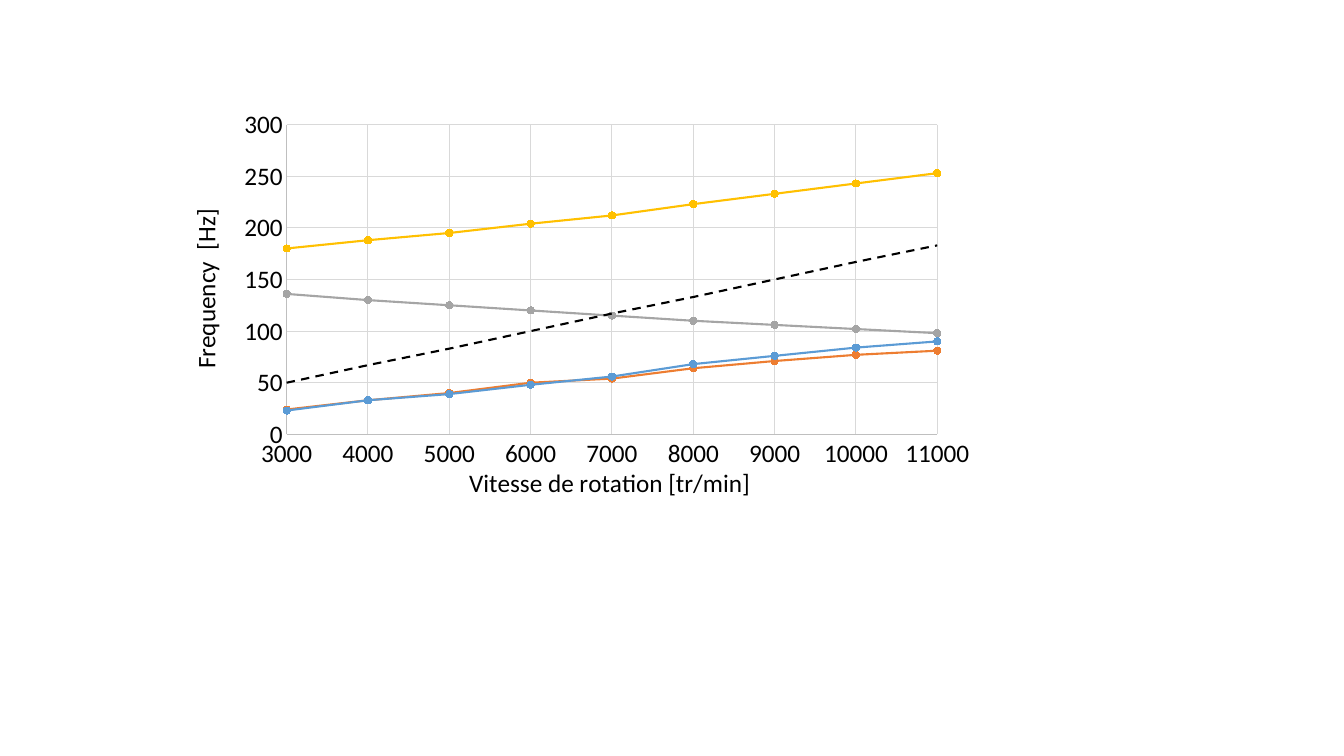
from pptx import Presentation
from pptx.chart.data import XyChartData
from pptx.dml.color import RGBColor
from pptx.enum.chart import XL_CHART_TYPE, XL_MARKER_STYLE, XL_TICK_MARK
from pptx.enum.dml import MSO_LINE
from pptx.oxml import parse_xml
from pptx.oxml.ns import nsdecls
from pptx.util import Inches, Pt

COLORS = {
    "text": "000000", "axis": "BFBFBF", "grid": "D9D9D9", "excitation": "000000",
    "blue": "5B9BD5", "orange": "ED7D31", "gray": "A5A5A5", "yellow": "FFC000",
}
SPEEDS = range(3000, 11001, 1000)
# Color key and frequencies in Hz; the excitation line is speed / 60
MODES = [
    ("excitation", [round(speed / 60) for speed in SPEEDS]),
    ("blue", [23, 33, 39, 48, 56, 68, 76, 84, 90]),
    ("orange", [24, 33, 40, 50, 54, 64, 71, 77, 81]),
    ("gray", [136, 130, 125, 120, 115, 110, 106, 102, 98]),
    ("yellow", [180, 188, 195, 204, 212, 223, 233, 243, 253]),
]


class SlideBuilder:
    def __init__(self, slide, font="Calibri", size=18):
        self.slide, self.font, self.size = slide, font, size

    def color(self, key):
        return RGBColor.from_string(COLORS[key])

    def style_font(self, font):
        font.name, font.size, font.bold = self.font, Pt(self.size), False
        font.color.rgb = self.color("text")

    def style_line(self, line, key, width):
        line.color.rgb = self.color(key)
        line.width = Pt(width)

    def scatter(self, left, top, width, height, speeds, modes):
        data = XyChartData(number_format="General")
        for number, (_, frequencies) in enumerate(modes, 1):
            series = data.add_series(f"Series {number}")
            for speed, frequency in zip(speeds, frequencies):
                series.add_data_point(speed, frequency)
        chart = self.slide.shapes.add_chart(
            XL_CHART_TYPE.XY_SCATTER_SMOOTH_NO_MARKERS, Inches(left), Inches(top),
            Inches(width), Inches(height), data).chart
        chart.has_legend = chart.has_title = False
        self.style_font(chart.font)
        chart.plots[0].vary_by_categories = False
        for series, (key, _) in zip(chart.plots[0].series, modes):
            self.curve(series, key)
        return chart

    def curve(self, series, key):
        series.smooth = True
        self.style_line(series.format.line, key, 1.5)
        if key == "excitation":
            series.format.line.dash_style = MSO_LINE.DASH
            series.marker.style = XL_MARKER_STYLE.NONE
            return
        series.marker.style = XL_MARKER_STYLE.CIRCLE
        series.marker.size = 5
        series.marker.format.fill.solid()
        series.marker.format.fill.fore_color.rgb = self.color(key)
        self.style_line(series.marker.format.line, key, 0.75)

    def axis(self, axis, title, low, high, step):
        axis.minimum_scale, axis.maximum_scale, axis.major_unit = low, high, step
        axis.major_tick_mark = axis.minor_tick_mark = XL_TICK_MARK.NONE
        axis.has_major_gridlines = True
        self.style_line(axis.major_gridlines.format.line, "grid", 0.75)
        self.style_line(axis.format.line, "axis", 0.75)
        self.style_font(axis.tick_labels.font)
        axis.tick_labels.number_format = "General"
        axis.tick_labels.number_format_is_linked = False
        paragraph = axis.axis_title.text_frame.paragraphs[0]
        paragraph.text = title
        self.style_font(paragraph.font)

    def plot_area(self, chart, x, y, w, h):
        area = chart.plots[0]._element.getparent()
        for layout in area.findall("{*}layout"):
            area.remove(layout)
        sizes = "".join(f'<c:{tag} val="{value}"/>'
                        for tag, value in zip("xywh", (x, y, w, h)))
        area.insert(0, parse_xml(
            f'<c:layout {nsdecls("c")}><c:manualLayout><c:layoutTarget val="inner"/>'
            f'<c:xMode val="edge"/><c:yMode val="edge"/>{sizes}'
            '</c:manualLayout></c:layout>'))


def main():
    deck = Presentation()
    deck.slide_width, deck.slide_height = Inches(13.33), Inches(7.5)
    builder = SlideBuilder(deck.slides.add_slide(deck.slide_layouts[6]))

    # Frequencies against rotation speed
    campbell = builder.scatter(1.82, 1.08, 7.87, 3.94, SPEEDS, MODES)
    builder.plot_area(campbell, 0.13, 0.04, 0.82, 0.78)

    # Axes
    builder.axis(campbell.category_axis, " Vitesse de rotation [tr/min]", 3000, 11000, 1000)
    builder.axis(campbell.value_axis, "Frequency  [Hz]", 0, 300, 50)

    deck.save("out.pptx")


if __name__ == "__main__":
    main()
